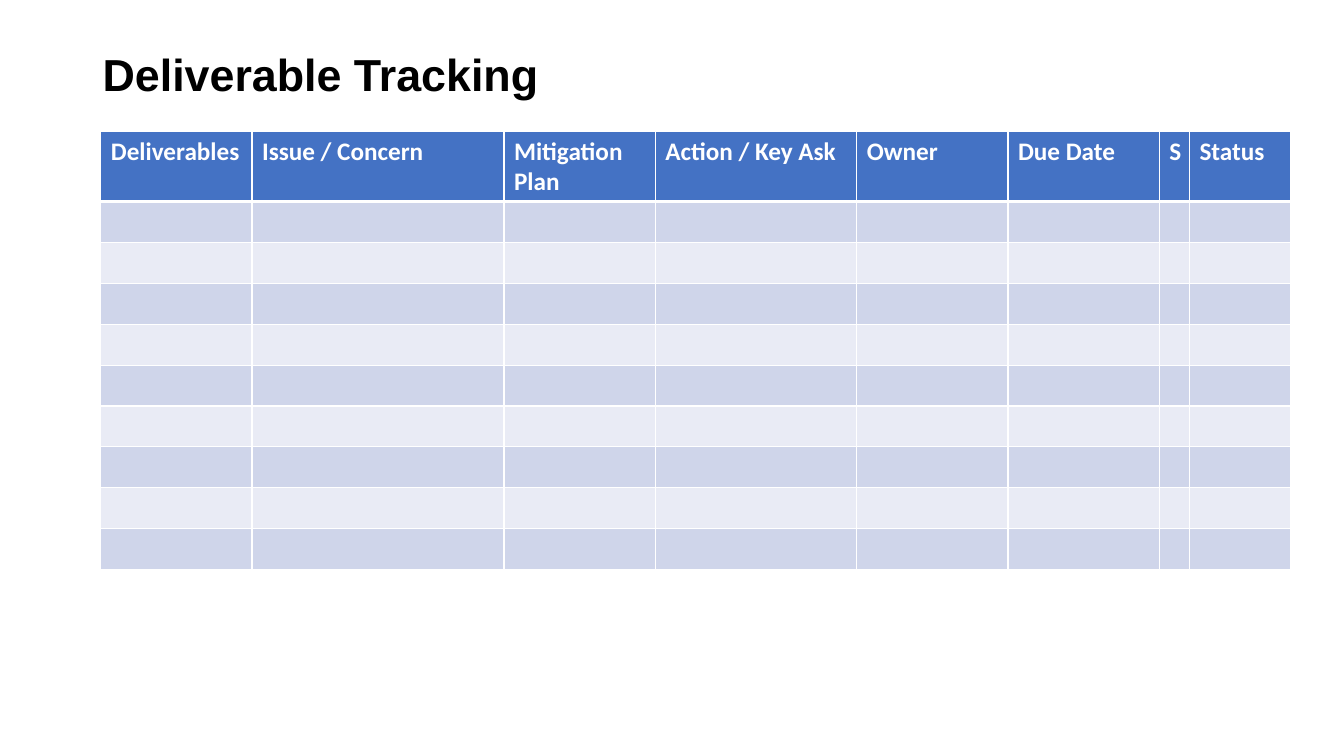
import pptx
import pptx.dml.color
import pptx.enum.text
import pptx.oxml
import pptx.oxml.ns
import pptx.util

Pt = pptx.util.Pt


def color(hex_string):
    return pptx.dml.color.RGBColor.from_string(hex_string)


def write_text(frame, text, font="Calibri", size=18, fill="FFFFFF", line_spacing=1.0):
    frame.word_wrap = True
    para = frame.paragraphs[0]
    para.line_spacing = line_spacing
    span = para.add_run()
    span.text = text
    span.font.name = font
    span.font.size = Pt(size)
    span.font.bold = True
    span.font.color.rgb = color(fill)


deck = pptx.Presentation()
deck.slide_width, deck.slide_height = Pt(960), Pt(540)
page = deck.slides.add_slide(deck.slide_layouts[6])

# Title
title_box = page.shapes.add_textbox(Pt(66.24), Pt(28.8), Pt(744.5), Pt(52.56))
title_box.text_frame.vertical_anchor = pptx.enum.text.MSO_ANCHOR.MIDDLE
write_text(title_box.text_frame, "Deliverable Tracking",
           font="Arial", size=32, fill="000000", line_spacing=0.9)

# Tracking table: column headings with widths, then empty rows to fill in
columns = [("Deliverables", 108), ("Issue / Concern", 180), ("Mitigation Plan", 108),
           ("Action / Key Ask", 144), ("Owner", 108), ("Due Date", 108),
           ("S", 21.6), ("Status", 72)]
empty_rows = 9
header_height, row_height = 50.4, 29.2
table_width = sum(width for heading, width in columns)
table = page.shapes.add_table(
    empty_rows + 1, len(columns), Pt(72), Pt(93.6),
    Pt(table_width), Pt(header_height + empty_rows * row_height)).table

for column, (heading, width) in zip(table.columns, columns):
    column.width = Pt(width)
for row_index, row in enumerate(table.rows):
    row.height = Pt(row_height if row_index else header_height)

# White grid with a heavy rule under the header, and banded fills
for row_index, row in enumerate(table.rows):
    for cell in row.cells:
        for side in "LRTB":
            heavy = (row_index, side) in [(0, "B"), (1, "T")]
            cell._tc.get_or_add_tcPr().append(pptx.oxml.parse_xml(
                f'<a:ln{side} {pptx.oxml.ns.nsdecls("a")} w="{Pt(3 if heavy else 1)}">'
                '<a:solidFill><a:srgbClr val="FFFFFF"/></a:solidFill>'
                f'</a:ln{side}>'))
        cell.fill.solid()
        band = "CFD5EA" if row_index % 2 else "E9EBF5"
        cell.fill.fore_color.rgb = color(band if row_index else "4472C4")

# Column headings
for cell, (heading, width) in zip(table.rows[0].cells, columns):
    write_text(cell.text_frame, heading)

deck.save("out.pptx")
